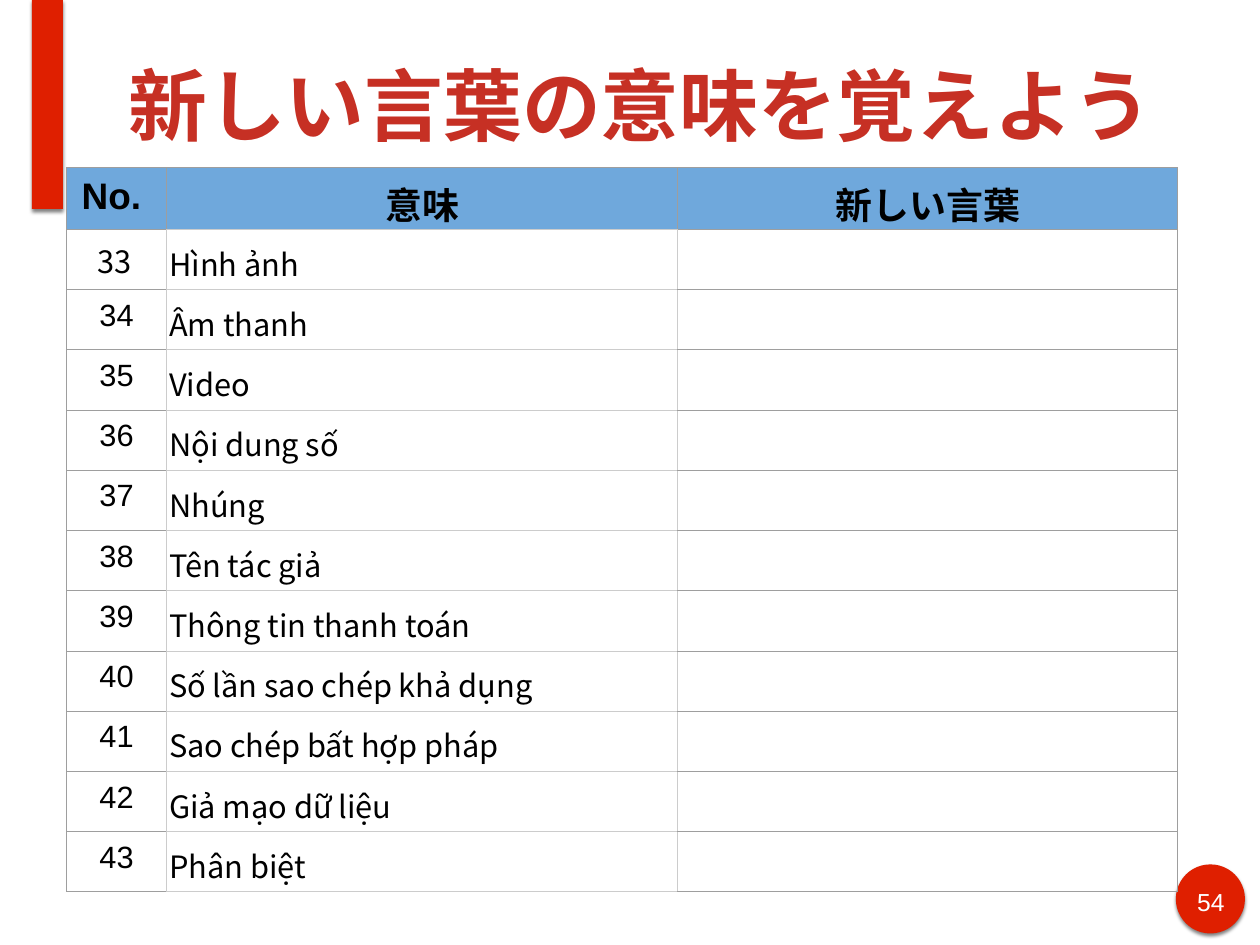
from dataclasses import dataclass

from lxml.etree import SubElement
from pptx import Presentation
from pptx.dml.color import RGBColor
from pptx.enum.shapes import MSO_SHAPE
from pptx.enum.text import MSO_ANCHOR, MSO_AUTO_SIZE, PP_ALIGN
from pptx.oxml.ns import qn
from pptx.util import Inches, Pt


@dataclass(frozen=True)
class Theme:
    accent: str = "DF1F00"
    title: str = "C63024"
    header: str = "6FA8DC"
    dark_line: str = "9E9E9E"
    light_line: str = "CCCCCC"
    black: str = "000000"
    white: str = "FFFFFF"
    latin: str = "Arial"
    japanese: str = "Noto Sans CJK JP"
    title_size: int = 64
    header_size: int = 30
    body_size: int = 25
    number_size: int = 20


theme = Theme()


def style_text(frame, size, color, font, bold=False, align=PP_ALIGN.LEFT, inset=(0.06, 0.06)):
    """Format a text frame or a table cell's text, with insets (sides, top and bottom)."""
    frame.margin_left = frame.margin_right = Inches(inset[0])
    frame.margin_top = frame.margin_bottom = Inches(inset[1])
    paragraph = getattr(frame, "text_frame", frame).paragraphs[0]
    paragraph.alignment = align
    for run in paragraph.runs:
        run.font.size = Pt(size)
        run.font.name = font
        run.font.bold = bold
        run.font.color.rgb = RGBColor.from_string(color)
        SubElement(run.font._element, qn("a:ea")).set("typeface", theme.japanese)
    return paragraph


def style_cell(cell, fill, left, top, right, bottom):
    """Set a cell's borders by colour, then its fill."""
    properties = cell._tc.get_or_add_tcPr()
    for side, color in zip("LTRB", (left, top, right, bottom)):
        line = SubElement(properties, qn(f"a:ln{side}"), w=str(Pt(0.75)))
        SubElement(SubElement(line, qn("a:solidFill")), qn("a:srgbClr"), val=color)
    # python-pptx puts the fill after the border elements
    if fill:
        cell.fill.solid()
        cell.fill.fore_color.rgb = RGBColor.from_string(fill)
    else:
        cell.fill.background()


prs = Presentation()
prs.slide_width = Inches(14.22)
prs.slide_height = Inches(10.67)
slide = prs.slides.add_slide(prs.slide_layouts[5])

# Red side bar and page badge, with a soft shadow below
for kind, box in (
    (MSO_SHAPE.OVAL, (13.27, 9.76, 0.78, 0.78)),
    (MSO_SHAPE.RECTANGLE, (0.36, 0, 0.35, 2.36)),
):
    accent = slide.shapes.add_shape(kind, *map(Inches, box))
    accent.fill.solid()
    accent.fill.fore_color.rgb = RGBColor.from_string(theme.accent)
    accent.line.fill.background()
    accent.shadow.inherit = False
    effects = accent._element.spPr.find(qn("a:effectLst"))
    shadow = SubElement(effects, qn("a:outerShdw"), blurRad=str(Pt(3)),
                        dist=str(Pt(2)), dir="5400000", rotWithShape="0")
    shade = SubElement(shadow, qn("a:srgbClr"), val=theme.black)
    SubElement(shade, qn("a:alpha"), val="49000")

# Page number
page_number = slide.shapes.add_textbox(Inches(13.42), Inches(9.95), Inches(0.49), Inches(0.39))
page_number.text_frame.word_wrap = True
page_number.text_frame.text = "54"
style_text(page_number.text_frame, theme.number_size, theme.white, theme.latin,
           align=PP_ALIGN.CENTER)

# Title
title = slide.shapes.title
title.left, title.top, title.width, title.height = map(Inches, (1.39, 0.12, 12.14, 2.12))
title.text_frame.text = "新しい言葉の意味を覚えよう"
title.text_frame.auto_size = MSO_AUTO_SIZE.NONE
title.text_frame.vertical_anchor = MSO_ANCHOR.MIDDLE
style_text(title.text_frame, theme.title_size, theme.title, theme.latin, bold=True)

# Vocabulary table
headings = ("No. ", "意味", "新しい言葉")
meanings = (
    "Hình ảnh", "Âm thanh", "Video", "Nội dung số", "Nhúng", "Tên tác giả",
    "Thông tin thanh toán", "Số lần sao chép khả dụng", "Sao chép bất hợp pháp",
    "Giả mạo dữ liệu", "Phân biệt",
)
first_number = 33
widths = (1.13, 5.77, 5.64)
row_height = 0.68
row_count = len(meanings) + 1
vocabulary = slide.shapes.add_table(
    row_count, len(widths), Inches(0.75), Inches(1.89),
    Inches(sum(widths)), Inches(row_height * row_count)).table
vocabulary.first_row = vocabulary.horz_banding = False
for column, width in zip(vocabulary.columns, widths):
    column.width = Inches(width)
for row in vocabulary.rows:
    row.height = Inches(row_height)

dark, light = theme.dark_line, theme.light_line
wide_inset = (0.1, 0.1)

# Header row
for column, heading in enumerate(headings):
    cell = vocabulary.cell(0, column)
    cell.text_frame.text = heading
    style_text(cell, theme.header_size, theme.black, theme.latin, bold=True,
               align=PP_ALIGN.CENTER, inset=wide_inset)
    style_cell(cell, theme.header, dark, dark, dark, light if column == 1 else dark)

# Word rows: number, meaning, and a blank for the new word
for row, meaning in enumerate(meanings, start=1):
    number, sense, answer = (vocabulary.cell(row, column) for column in range(3))

    number.text_frame.text = str(first_number + row - 1)
    if row == 1:
        paragraph = style_text(number, theme.body_size, theme.black, theme.japanese,
                               inset=wide_inset)
        indent = paragraph._p.get_or_add_pPr()
        indent.set("marL", str(Inches(0.5)))
        indent.set("indent", str(Inches(-0.25)))
    else:
        style_text(number, theme.body_size, theme.black, theme.latin,
                   align=PP_ALIGN.CENTER, inset=wide_inset)
    style_cell(number, None, dark, dark, light, dark)

    sense.text_frame.text = meaning
    sense.vertical_anchor = MSO_ANCHOR.MIDDLE
    paragraph = style_text(sense, theme.body_size, theme.black, theme.japanese,
                           inset=(0.03, 0.02))
    paragraph.line_spacing = 1.15
    style_cell(sense, theme.white, light, light, light, light)

    style_cell(answer, None, light, dark, dark, dark)

prs.save("out.pptx")
